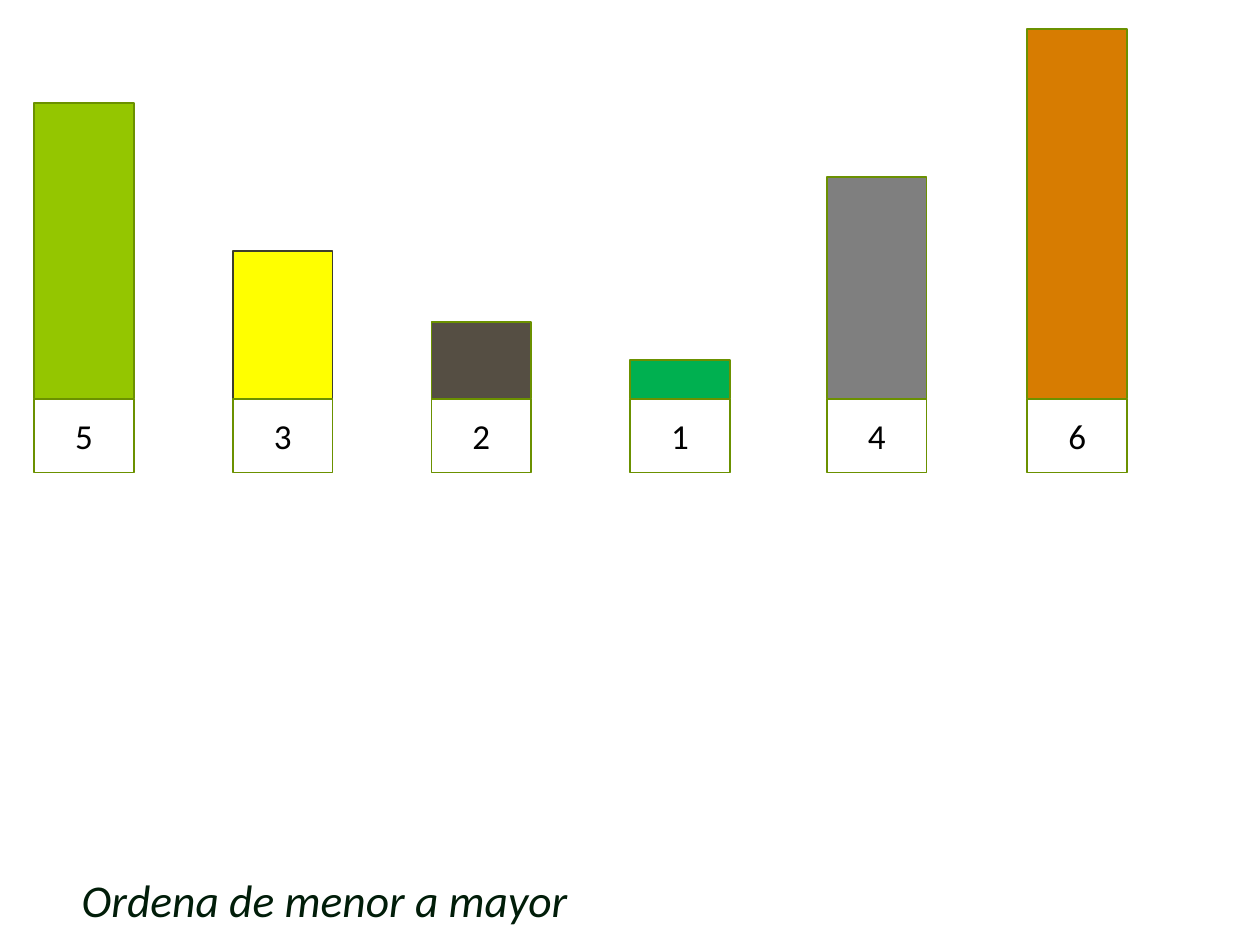
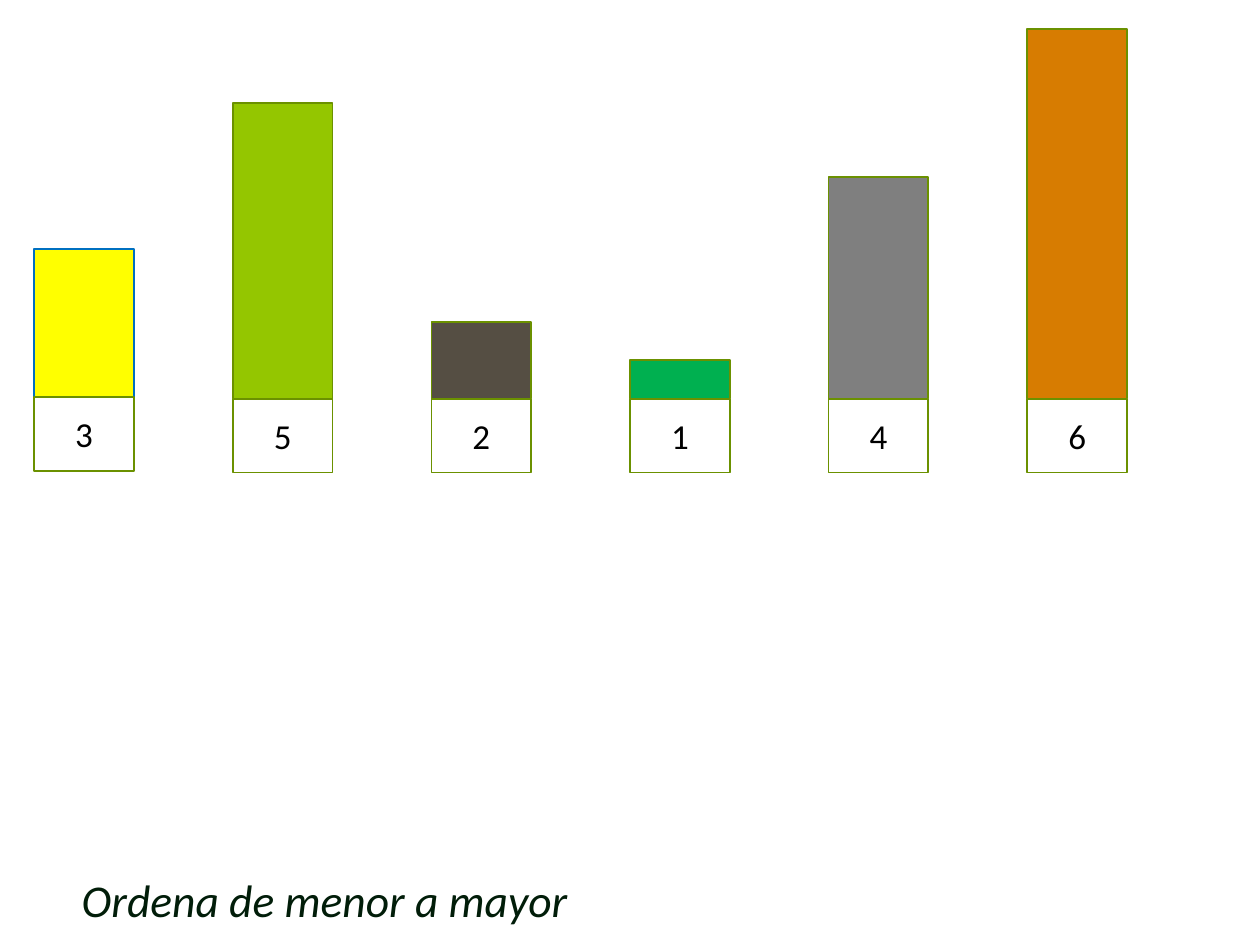
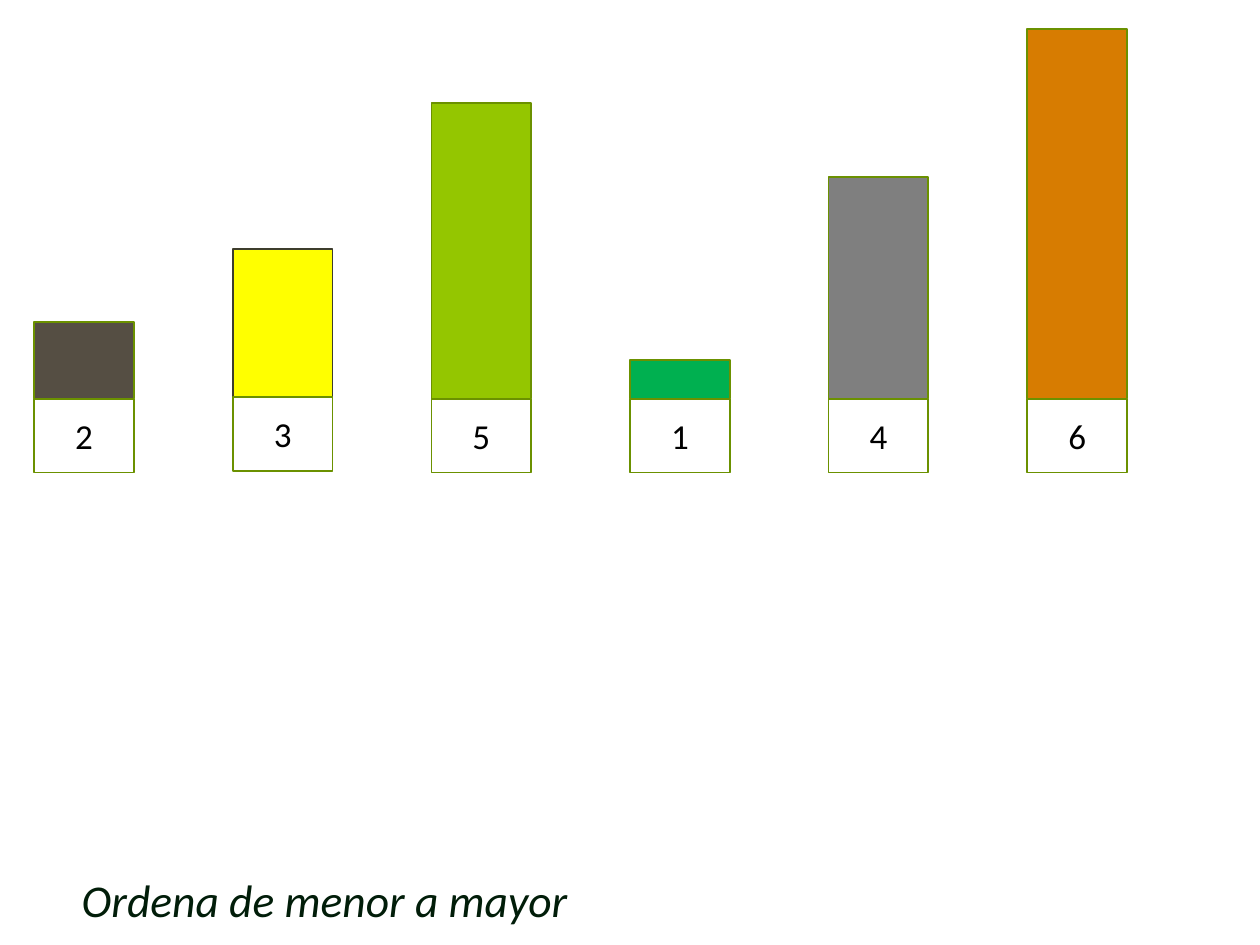
from dataclasses import dataclass

import pptx
import pptx.dml.color
import pptx.enum.shapes
import pptx.enum.text
import pptx.shapes.autoshape
import pptx.shapes.group
import pptx.slide
import pptx.text.text
import pptx.util


@dataclass(frozen=True)
class Theme:
    font: str = "Calibri"
    number_size: float = 20
    instruction_size: float = 26
    line_width: float = 1
    background: str = "FFFFFF"
    number: str = "000000"
    instruction: str = "011D09"
    outline: str = "6B9100"
    dark_outline: str = "3E3D2D"
    blue_outline: str = "0070C0"
    lime: str = "94C600"
    yellow: str = "FFFF00"
    brown: str = "554E43"
    green: str = "00B050"
    gray: str = "7F7F7F"
    orange: str = "D77C01"


THEME = Theme()


@dataclass(frozen=True)
class Bar:
    number: int
    units: float
    fill: str


@dataclass(frozen=True)
class Placement:
    bar: Bar
    slot: int
    outline: str = THEME.outline
    shift_x: float = 0
    shift_y: float = 0


SLIDE_WIDTH = 720
SLIDE_HEIGHT = 540
FIRST_LEFT = 19.5
SLOT_PITCH = 113.5
BAR_WIDTH = 57
BASELINE = 227.8
UNIT_HEIGHT = 42.2
INSTRUCTION = "Ordena de menor a mayor"

ONE = Bar(1, 0.52, THEME.green)
TWO = Bar(2, 1.04, THEME.brown)
THREE = Bar(3, 2, THEME.yellow)
FOUR = Bar(4, 3, THEME.gray)
FIVE = Bar(5, 4, THEME.lime)
SIX = Bar(6, 5, THEME.orange)

EXERCISES = (
    (
        Placement(FIVE, 0),
        Placement(THREE, 1, THEME.dark_outline),
        Placement(TWO, 2),
        Placement(ONE, 3),
        Placement(FOUR, 4, shift_x=-1),
        Placement(SIX, 5),
    ),
    (
        Placement(FIVE, 1),
        Placement(THREE, 0, THEME.blue_outline, shift_y=-1),
        Placement(TWO, 2),
        Placement(ONE, 3),
        Placement(FOUR, 4),
        Placement(SIX, 5),
    ),
    (
        Placement(FIVE, 2),
        Placement(THREE, 1, THEME.dark_outline, shift_y=-1),
        Placement(TWO, 0),
        Placement(ONE, 3),
        Placement(FOUR, 4),
        Placement(SIX, 5),
    ),
)


def color(code: str) -> pptx.dml.color.RGBColor:
    return pptx.dml.color.RGBColor.from_string(code)


def add_span(
    para: pptx.text.text._Paragraph, text: str, size: float, code: str, italic: bool = False
) -> None:
    span = para.add_run()
    span.text = text
    span.font.name = THEME.font
    span.font.size = pptx.util.Pt(size)
    span.font.color.rgb = color(code)
    span.font.italic = italic


def add_rectangle(
    group: pptx.shapes.group.GroupShape, left: float, top: float, height: float, outline: str
) -> pptx.shapes.autoshape.Shape:
    box = group.shapes.add_shape(
        pptx.enum.shapes.MSO_SHAPE.RECTANGLE,
        pptx.util.Pt(left),
        pptx.util.Pt(top),
        pptx.util.Pt(BAR_WIDTH),
        pptx.util.Pt(height),
    )
    box.shadow.inherit = False
    box.fill.background()
    box.line.color.rgb = color(outline)
    box.line.width = pptx.util.Pt(THEME.line_width)
    return box


def add_column(page: pptx.slide.Slide, placement: Placement) -> None:
    group = page.shapes.add_group_shape()
    left = FIRST_LEFT + placement.slot * SLOT_PITCH + placement.shift_x
    base = BASELINE + placement.shift_y
    height = placement.bar.units * UNIT_HEIGHT

    bar_box = add_rectangle(group, left, base - height, height, placement.outline)
    bar_box.fill.solid()
    bar_box.fill.fore_color.rgb = color(placement.bar.fill)

    number_box = add_rectangle(group, left, base, UNIT_HEIGHT, THEME.outline)
    number_box.text_frame.vertical_anchor = pptx.enum.text.MSO_ANCHOR.MIDDLE
    para = number_box.text_frame.paragraphs[0]
    para.alignment = pptx.enum.text.PP_ALIGN.CENTER
    add_span(para, str(placement.bar.number), THEME.number_size, THEME.number)


def add_instruction(page: pptx.slide.Slide) -> None:
    box = page.shapes.add_textbox(
        pptx.util.Pt(39.6), pptx.util.Pt(494.6), pptx.util.Pt(300), pptx.util.Pt(39)
    )
    box.text_frame.word_wrap = True
    box.text_frame.auto_size = pptx.enum.text.MSO_AUTO_SIZE.SHAPE_TO_FIT_TEXT
    add_span(
        box.text_frame.paragraphs[0],
        INSTRUCTION,
        THEME.instruction_size,
        THEME.instruction,
        italic=True,
    )


def main() -> None:
    deck = pptx.Presentation()
    deck.slide_width = pptx.util.Pt(SLIDE_WIDTH)
    deck.slide_height = pptx.util.Pt(SLIDE_HEIGHT)
    background = deck.slide_master.background.fill
    background.solid()
    background.fore_color.rgb = color(THEME.background)
    blank_layout = deck.slide_layouts.get_by_name("Blank")
    for placements in EXERCISES:
        page = deck.slides.add_slide(blank_layout)
        for placement in placements:
            add_column(page, placement)
        add_instruction(page)
    deck.save("out.pptx")


if __name__ == "__main__":
    main()
